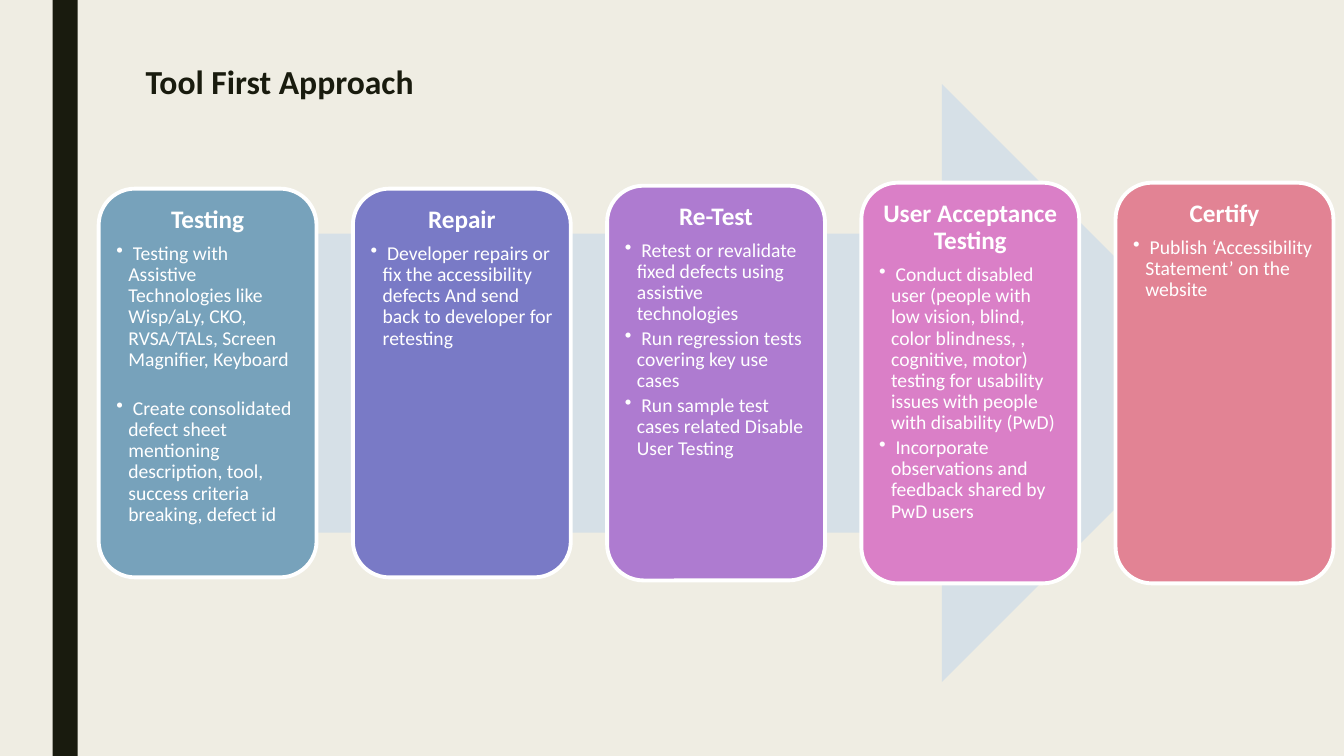
from pptx import Presentation
from pptx.dml.color import RGBColor as Rgb
from pptx.enum.shapes import MSO_SHAPE as Kind
from pptx.enum.text import MSO_ANCHOR as Anchor, PP_ALIGN as Align
from pptx.oxml.xmlchemy import OxmlElement as Node
from pptx.util import Inches, Pt

WIDE, HIGH = 13.33, 7.5
COLS, ROWS = 160, 90
FONT = "Calibri"
HUES = {
    "back": "EFEDE3", "ink": "191B0E", "arrow": "D6E0E7", "white": "FFFFFF",
    "teal": "77A2BB", "blue": "797AC6", "plum": "AE7BD0",
    "pink": "DA7FC7", "rose": "E28394",
}
STEPS = [
    ("Testing", "teal", 0.65, 20, [
        "Testing with Assistive Technologies like Wisp/aLy, CKO, "
        "RVSA/TALs, Screen Magnifier, Keyboard",
        "Create consolidated defect sheet mentioning description, tool, "
        "success criteria breaking, defect id"]),
    ("Repair", "blue", 0.65, 2.5, [
        "Developer repairs or fix the accessibility defects And send back "
        "to developer for retesting"]),
    ("Re-Test", "plum", 0.66, 2.5, [
        "Retest or revalidate fixed defects using assistive technologies",
        "Run regression tests covering key use cases",
        "Run sample test cases related Disable User Testing"]),
    ("User Acceptance Testing", "pink", 0.67, 2.5, [
        "Conduct disabled user (people with low vision, blind, color "
        "blindness, , cognitive, motor) testing for usability issues "
        "with people with disability (PwD)",
        "Incorporate observations and feedback shared by PwD users"]),
    ("Certify", "rose", 0.67, 2.5, [
        "Publish ‘Accessibility Statement’ on the website"]),
]


def hue(name):
    """Return the named colour."""
    return Rgb.from_string(HUES[name])


def place(box):
    """Turn a box in grid columns and rows into lengths."""
    x, y, w, h = box
    return (Inches(x * WIDE / COLS), Inches(y * HIGH / ROWS),
            Inches(w * WIDE / COLS), Inches(h * HIGH / ROWS))


def draw(slide, kind, box, fill):
    """Add a flat shape without an outline."""
    shape = slide.shapes.add_shape(kind, *place(box))
    shape.shadow.inherit = False
    shape.fill.solid()
    shape.fill.fore_color.rgb = hue(fill)
    shape.line.fill.background()
    return shape


def setup(frame, inset, anchor):
    """Set wrapping, insets and anchor of a text frame."""
    frame.word_wrap = True
    frame.vertical_anchor = anchor
    frame.margin_left = frame.margin_right = Inches(inset)
    frame.margin_top = frame.margin_bottom = Inches(inset)


def write(para, text, size, color, bold=False, after=0, align=Align.LEFT):
    """Add one run to a paragraph and format both."""
    para.alignment = align
    para.line_spacing = 0.9
    para.space_after = Pt(after)
    run = para.add_run()
    run.text = text
    run.font.name = FONT
    run.font.size = Pt(size)
    run.font.bold = bold
    run.font.color.rgb = hue(color)


def dot(para):
    """Give a paragraph a hanging bullet."""
    props = para._p.get_or_add_pPr()
    props.set("marL", str(Inches(0.12)))
    props.set("indent", str(-Inches(0.12)))
    mark = Node("a:buChar")
    mark.set("char", "•")
    props.append(mark)


def title(slide, box):
    """Write the slide title."""
    frame = slide.shapes.add_textbox(*place(box)).text_frame
    setup(frame, 0, Anchor.MIDDLE)
    write(frame.paragraphs[0], "Tool First Approach", 24, "ink", bold=True)


def card(slide, box, step):
    """Draw one step with its heading and bullets."""
    head, fill, _, gap, items = step
    shape = draw(slide, Kind.ROUNDED_RECTANGLE, box, fill)
    shape.line.color.rgb = hue("white")
    shape.line.width = Pt(2.75)
    frame = shape.text_frame
    setup(frame, 0.07, Anchor.TOP)
    write(frame.paragraphs[0], head, 18, "white", True, 7, Align.CENTER)
    for item in items:
        para = frame.add_paragraph()
        write(para, " " + item, 14, "white", after=gap)
        dot(para)


def flow(slide, box):
    """Draw the arrow and the row of steps over it."""
    x, y, w, h = box
    draw(slide, Kind.RIGHT_ARROW, (x + 0.075 * w, y, 0.85 * w, h), "arrow")
    count = len(STEPS)
    wide = w / (count + (count - 1) / 6)
    for i, step in enumerate(STEPS):
        tall = step[2] * h
        left = x + i * wide * 7 / 6
        card(slide, (left, y + (h - tall) / 2, wide, tall), step)


def main():
    """Build and save the slide."""
    deck = Presentation()
    deck.slide_width, deck.slide_height = Inches(WIDE), Inches(HIGH)
    slide = deck.slides.add_slide(deck.slide_layouts[6])
    back = slide.background.fill
    back.solid()
    back.fore_color.rgb = hue("back")
    draw(slide, Kind.RECTANGLE, (6.25, 0, 3, ROWS), "ink")
    title(slide, (17.35, 7, 70, 6))
    flow(slide, (11.75, 10, 147, 71.2))
    deck.save("out.pptx")


main()
